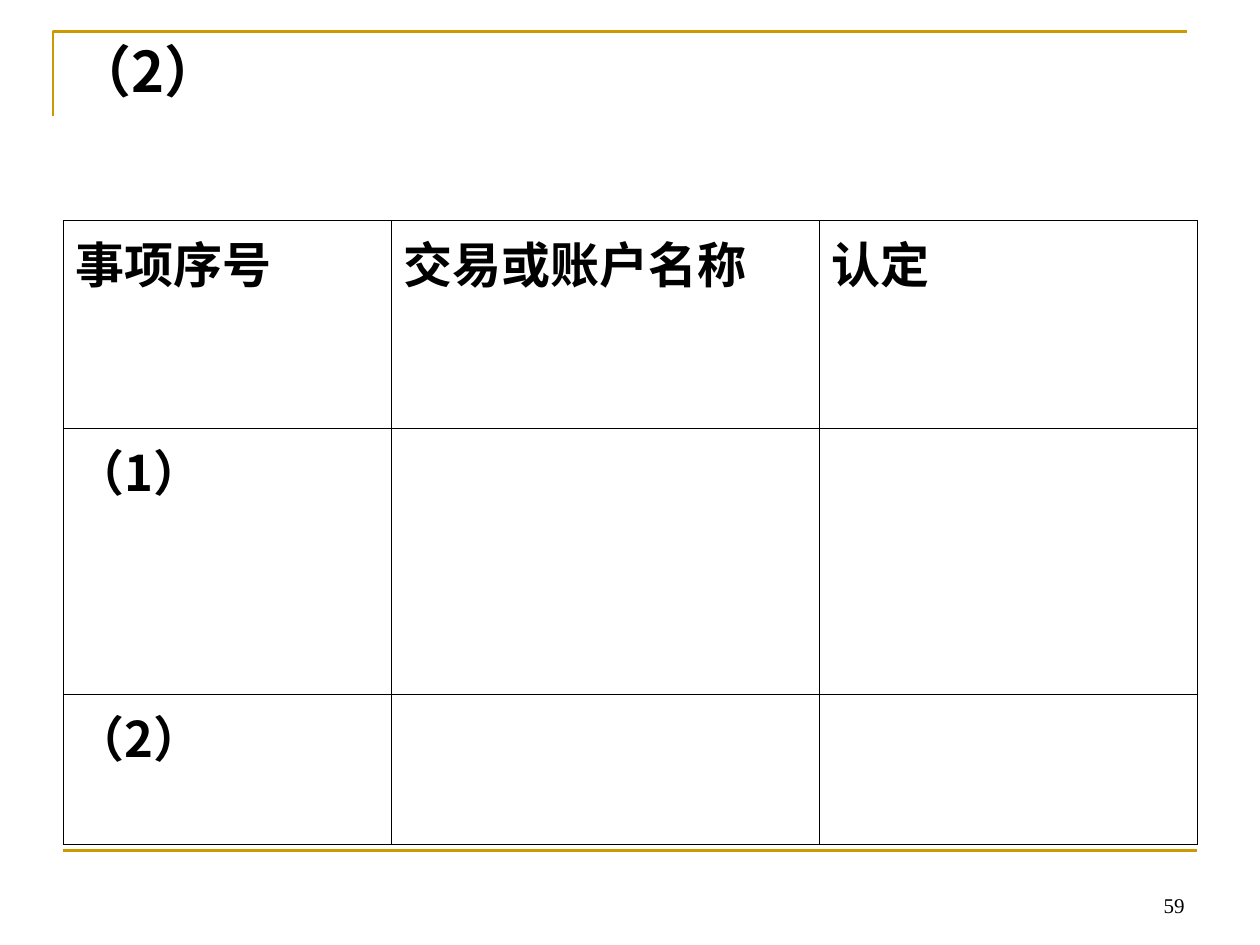
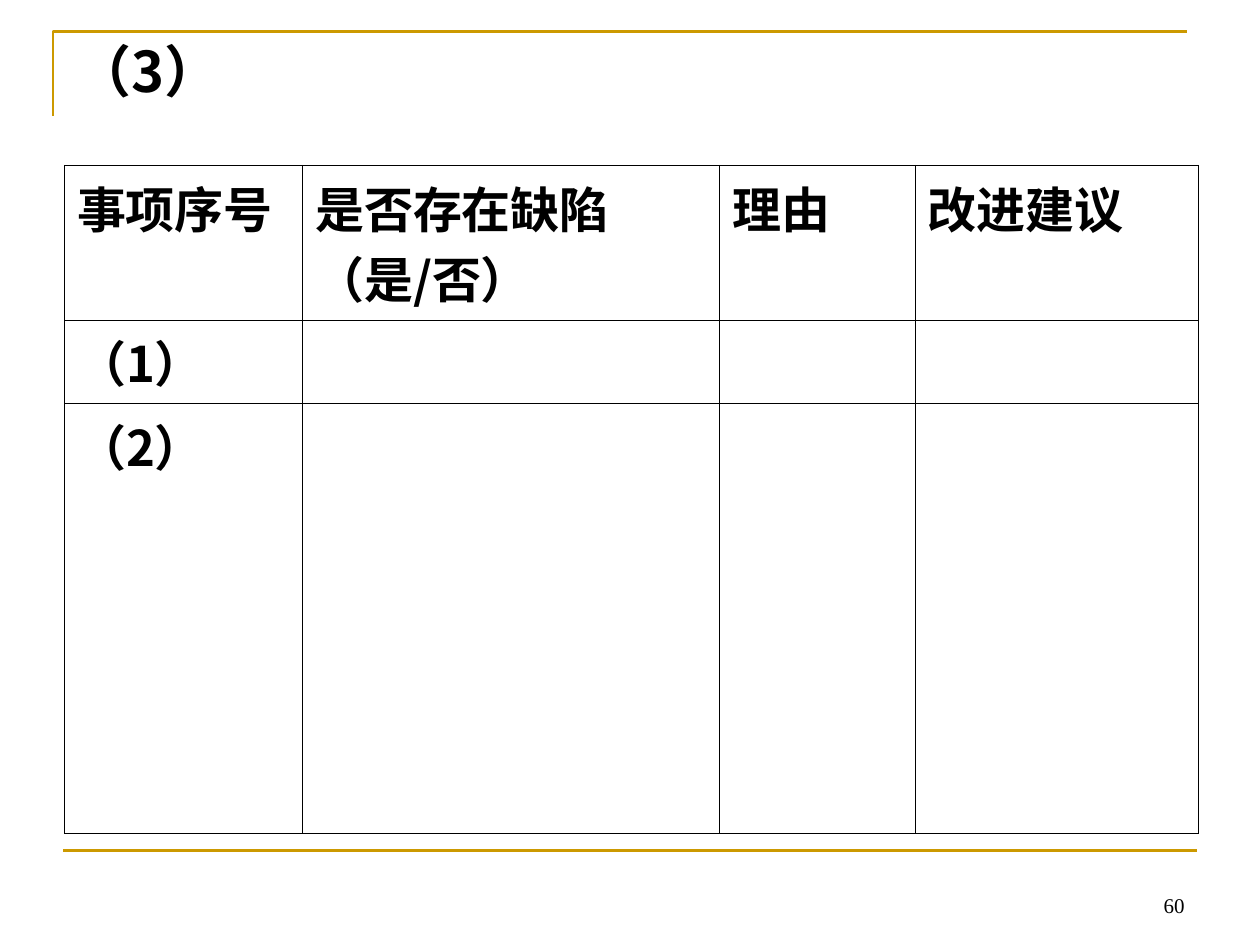
from lxml.etree import SubElement
from pptx import Presentation
from pptx.dml.color import RGBColor
from pptx.enum.shapes import MSO_CONNECTOR
from pptx.enum.text import MSO_ANCHOR as ANCHOR, PP_ALIGN as ALIGN
from pptx.oxml.ns import qn
from pptx.util import Cm, Pt

GOLD = RGBColor(0xCC, 0x99, 0x00)
BLACK = RGBColor(0, 0, 0)
CJK = "Noto Sans CJK SC"
TITLE = {"size": Pt(32), "name": CJK, "bold": True}
CELL = {"size": Pt(28), "name": CJK, "bold": True}
NUMBER = {"size": Pt(12), "name": "Times New Roman", "bold": False}
INDENT = Cm(0.97)
BORDER = Pt(0.45)

SLIDES = [
    {"title": "（2）", "title_height": 1.75, "number": "59",
     "left": 1.27, "top": 4.45,
     "cols": [6.62, 8.62, 7.62], "rows": [4.19, 5.36, 3.02],
     "header": ["事项序号", "交易或账户名称", "认定"]},
    {"title": "（3）", "title_height": 1.55, "number": "60",
     "left": 1.3, "top": 3.33,
     "cols": [4.8, 8.41, 3.94, 5.71], "rows": [3.12, 1.68, 8.66],
     "header": ["事项序号", "是否存在缺陷\n（是/否）", "理由", "改进建议"]},
]
ITEMS = ["（1）", "（2）"]


def write(p, text, style):
    """Write one run into a paragraph in the given style."""
    r = p.add_run()
    r.text = text
    for name, value in style.items():
        setattr(r.font, name, value)
    r.font.color.rgb = BLACK
    SubElement(r.font._element, qn("a:ea"), typeface=style["name"])


def add_text(s, box, text, style, anchor=ANCHOR.TOP, **paragraph):
    """Add a one-line text box."""
    tf = s.shapes.add_textbox(*map(Cm, box)).text_frame
    tf.word_wrap = True
    tf.vertical_anchor = anchor
    p = tf.paragraphs[0]
    for name, value in paragraph.items():
        setattr(p, name, value)
    write(p, text, style)


def add_frame(s, left, top, width, height):
    """Draw the gold corner at the top and the gold rule at the bottom."""
    builder = s.shapes.build_freeform(Cm(left), Cm(top + 1.7))
    builder.add_line_segments([(Cm(left), Cm(top)), (Cm(left + width), Cm(top))],
                              close=False)
    corner = builder.convert_to_shape()
    corner.shadow.inherit = False
    corner.fill.background()
    x, y = left + 0.2, top + height
    rule = s.shapes.add_connector(MSO_CONNECTOR.STRAIGHT, Cm(x), Cm(y),
                                  Cm(x + width), Cm(y))
    SubElement(rule._element.spPr, qn("a:effectLst"))
    for shape in (corner, rule):
        shape.line.color.rgb = GOLD
        shape.line.width = Pt(1.5)


def format_cell(cell):
    """Give a cell thin black borders and no fill."""
    tcPr = cell._tc.get_or_add_tcPr()
    for side in ("lnL", "lnR", "lnT", "lnB"):
        ln = SubElement(tcPr, qn(f"a:{side}"), w=str(int(BORDER)))
        fill = SubElement(ln, qn("a:solidFill"))
        SubElement(fill, qn("a:srgbClr"), val=str(BLACK))
    cell.fill.background()


def fill_cell(cell, text):
    """Write each line of the text as a hanging paragraph."""
    tf = cell.text_frame
    for i, line in enumerate(text.split("\n")):
        p = tf.add_paragraph() if i else tf.paragraphs[0]
        pPr = p._p.get_or_add_pPr()
        pPr.set("marL", str(int(INDENT)))
        pPr.set("indent", str(-int(INDENT)))
        write(p, line, CELL)


def add_answer_table(s, left, top, cols, rows, header):
    """Add the answer grid: a header row and one row per numbered item."""
    table = s.shapes.add_table(len(rows), len(cols), Cm(left), Cm(top),
                               Cm(sum(cols)), Cm(sum(rows))).table
    table.first_row = table.horz_banding = False
    for col, width in zip(table.columns, cols):
        col.width = Cm(width)
    for row, height in zip(table.rows, rows):
        row.height = Cm(height)
    for cell in table.iter_cells():
        format_cell(cell)
    for c, text in enumerate(header):
        fill_cell(table.cell(0, c), text)
    for r, text in enumerate(ITEMS, 1):
        fill_cell(table.cell(r, 0), text)


def add_answer_slide(prs, data):
    """Build one slide with frame, title, answer table and page number."""
    s = prs.slides.add_slide(prs.slide_layouts[6])
    add_frame(s, 1.07, 0.63, 22.86, 16.51)
    add_text(s, (1.27, 0.76, 22.86, data["title_height"]), data["title"], TITLE,
             line_spacing=0.9)
    add_answer_table(s, *(data[k] for k in ("left", "top", "cols", "rows", "header")))
    add_text(s, (18.21, 17.35, 5.92, 1.27), data["number"], NUMBER,
             ANCHOR.BOTTOM, alignment=ALIGN.RIGHT)


def main():
    """Build the presentation."""
    prs = Presentation()
    prs.slide_width, prs.slide_height = Cm(25.4), Cm(19.05)
    for data in SLIDES:
        add_answer_slide(prs, data)
    prs.save("out.pptx")


if __name__ == "__main__":
    main()
